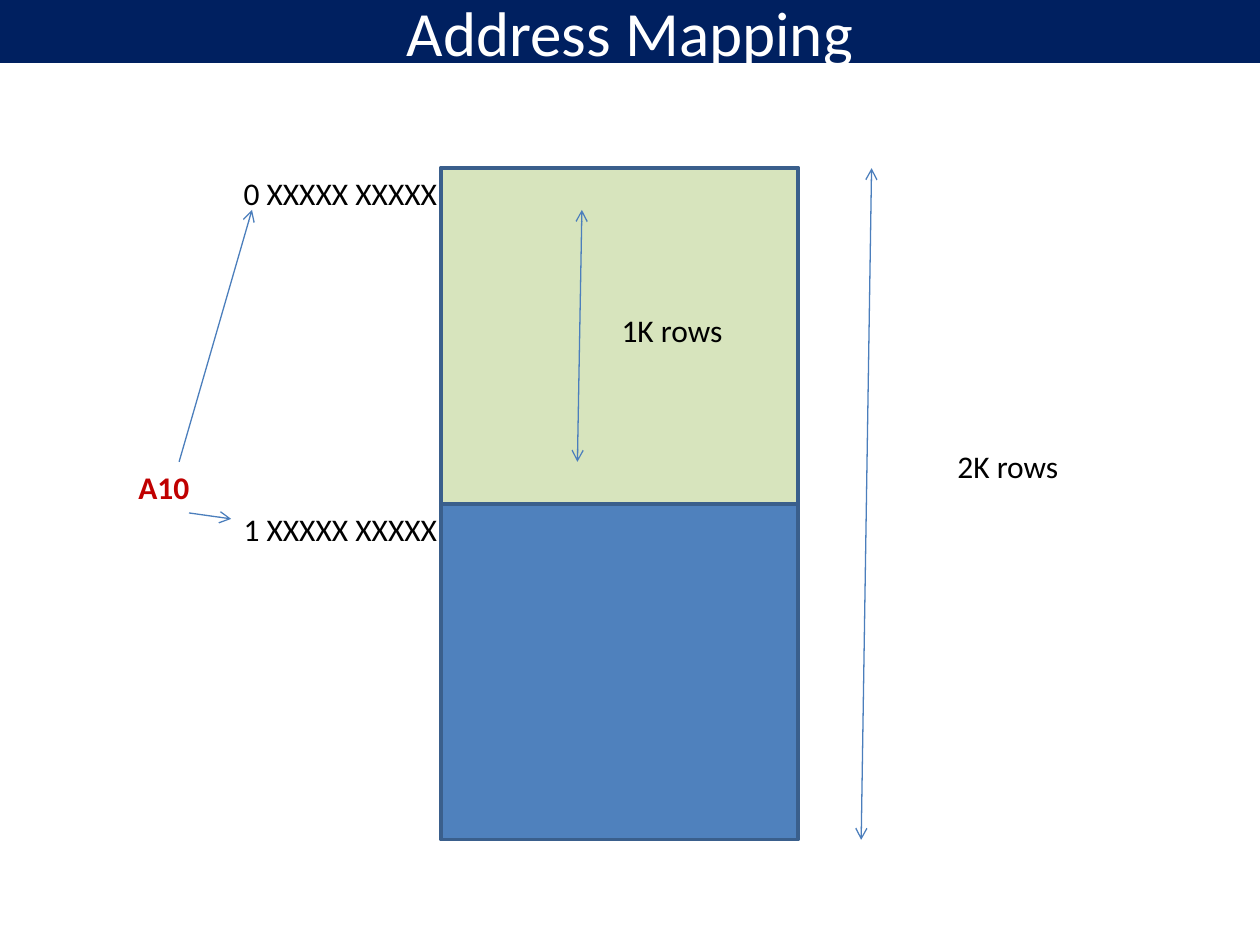
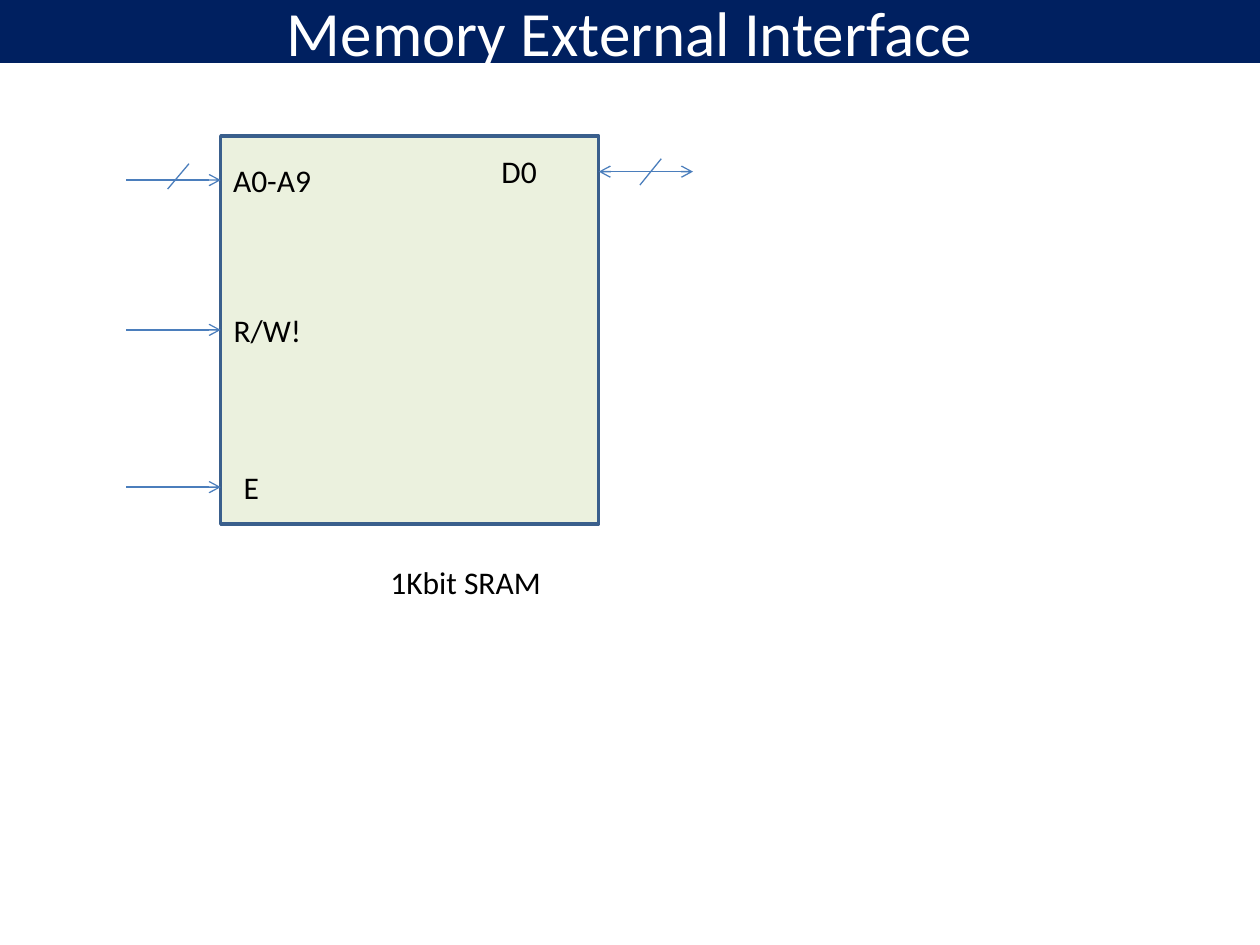
from dataclasses import dataclass
from typing import Optional

from lxml.etree import SubElement
from pptx import Presentation
from pptx.dml.color import RGBColor
from pptx.enum.shapes import MSO_CONNECTOR, MSO_SHAPE
from pptx.enum.text import MSO_ANCHOR, MSO_AUTO_SIZE, PP_ALIGN
from pptx.oxml.ns import qn
from pptx.shapes.autoshape import Shape
from pptx.shapes.connector import Connector
from pptx.slide import Slide
from pptx.text.text import TextFrame
from pptx.util import Cm, Pt

FONT = "Calibri"
NAVY = RGBColor(0x00, 0x20, 0x60)
WHITE = RGBColor(0xFF, 0xFF, 0xFF)
BLACK = RGBColor(0x00, 0x00, 0x00)
RED = RGBColor(0xC0, 0x00, 0x00)
BLUE = RGBColor(0x4F, 0x81, 0xBD)
GREEN = RGBColor(0xD7, 0xE4, 0xBD)
PALE_GREEN = RGBColor(0xEB, 0xF1, 0xDE)
OUTLINE = RGBColor(0x3A, 0x5F, 0x8C)
LINE = RGBColor(0x4B, 0x7E, 0xBC)

SLIDE_WIDTH, SLIDE_HEIGHT = 25.4, 19.05
BAND_HEIGHT = 1.27
LABEL_HEIGHT = 1.02
LEFT_SIDE = 1


@dataclass(frozen=True)
class Block:
    left: float
    top: float
    width: float
    height: float
    fill: RGBColor


@dataclass(frozen=True)
class Label:
    text: str
    left: float
    top: float
    width: float
    color: RGBColor = BLACK
    bold: bool = False
    wrap: bool = False


@dataclass(frozen=True)
class Line:
    start: tuple[float, float]
    end: tuple[float, float]
    head: bool = False
    tail: bool = True


def write_text(frame: TextFrame, text: str, *, size: float = 18,
               color: RGBColor = BLACK, bold: bool = False,
               align: Optional[PP_ALIGN] = None) -> None:
    paragraph = frame.paragraphs[0]
    paragraph.alignment = align
    run = paragraph.add_run()
    run.text = text
    run.font.name = FONT
    run.font.size = Pt(size)
    run.font.bold = bold
    run.font.color.rgb = color


def add_titled_slide(presentation: Presentation, text: str) -> Slide:
    slide = presentation.slides.add_slide(presentation.slide_layouts[5])
    title = slide.shapes.title
    title.left, title.top = Cm(0), Cm(0)
    title.width, title.height = Cm(SLIDE_WIDTH), Cm(BAND_HEIGHT)
    title.fill.solid()
    title.fill.fore_color.rgb = NAVY
    title.text_frame.auto_size = MSO_AUTO_SIZE.NONE
    title.text_frame.vertical_anchor = MSO_ANCHOR.MIDDLE
    write_text(title.text_frame, text, size=36, color=WHITE, align=PP_ALIGN.CENTER)
    return slide


def add_block(slide: Slide, block: Block) -> Shape:
    shape = slide.shapes.add_shape(
        MSO_SHAPE.RECTANGLE, Cm(block.left), Cm(block.top),
        Cm(block.width), Cm(block.height))
    shape.shadow.inherit = False
    shape.fill.solid()
    shape.fill.fore_color.rgb = block.fill
    shape.line.color.rgb = OUTLINE
    shape.line.width = Pt(2)
    return shape


def add_label(slide: Slide, label: Label) -> None:
    box = slide.shapes.add_textbox(
        Cm(label.left), Cm(label.top), Cm(label.width), Cm(LABEL_HEIGHT))
    box.text_frame.word_wrap = label.wrap
    box.text_frame.auto_size = MSO_AUTO_SIZE.SHAPE_TO_FIT_TEXT
    write_text(box.text_frame, label.text, color=label.color, bold=label.bold)


def add_line(slide: Slide, line: Line) -> Connector:
    connector = slide.shapes.add_connector(
        MSO_CONNECTOR.STRAIGHT, *map(Cm, line.start), *map(Cm, line.end))
    connector.line.color.rgb = LINE
    connector.line.width = Pt(0.75)
    properties = connector.line._get_or_add_ln()
    for shown, tag in ((line.head, "a:headEnd"), (line.tail, "a:tailEnd")):
        if shown:
            SubElement(properties, qn(tag)).set("type", "arrow")
    SubElement(connector._element.spPr, qn("a:effectLst"))
    return connector


def build_address_mapping(presentation: Presentation) -> None:
    slide = add_titled_slide(presentation, "Address Mapping")
    left, top, width, bank_height = 8.89, 3.39, 7.2, 6.77
    bottom = top + 2 * bank_height
    add_block(slide, Block(left, top, width, 2 * bank_height, BLUE))
    add_block(slide, Block(left, top, width, bank_height, GREEN))

    for bank in range(2):
        add_label(slide, Label(f"{bank} XXXXX XXXXX", 4.66, top + bank * bank_height, 4.47))
    for label in (
        Label("2K rows", 19.05, 8.89, 2.57),
        Label("1K rows", 12.28, 6.15, 2.57),
        Label("A10", 2.54, 9.31, 1.7, color=RED, bold=True, wrap=True),
    ):
        add_label(slide, label)

    for line in (
        Line((17.57, top), (17.36, bottom), head=True),
        Line((11.73, 4.23), (11.64, 9.31), head=True),
        Line((3.61, 9.31), (5.08, 4.23)),
        Line((3.81, 10.34), (4.66, 10.46)),
    ):
        add_line(slide, line)


def build_memory_interface(presentation: Presentation) -> None:
    slide = add_titled_slide(presentation, "Memory External Interface")
    chip = Block(4.45, 2.74, 7.62, 7.82, PALE_GREEN)
    chip_right = chip.left + chip.width
    chip_middle = chip.top + chip.height / 2
    chip_shape = add_block(slide, chip)

    address, write, enable = (
        add_line(slide, Line((2.54, height), (chip.left, height)))
        for height in (3.63, chip_middle, 9.82)
    )
    write.end_connect(chip_shape, LEFT_SIDE)

    for line in (
        Line((chip_right, 3.46), (13.97, 3.46), head=True),
        Line((3.81, 3.3), (3.38, 3.81), tail=False),
        Line((13.33, 3.2), (12.9, 3.73), tail=False),
    ):
        add_line(slide, line)

    for label in (
        Label("A0-A9", chip.left, 3.12, 2.11),
        Label("R/W!", 4.46, 6.15, 1.88),
        Label("E", 4.66, 9.31, 0.81),
        Label("D0", 9.86, 2.95, 1.24),
        Label("1Kbit SRAM", 7.62, 11.23, 3.58),
    ):
        add_label(slide, label)


def main() -> None:
    presentation = Presentation()
    presentation.slide_width = Cm(SLIDE_WIDTH)
    presentation.slide_height = Cm(SLIDE_HEIGHT)
    build_address_mapping(presentation)
    build_memory_interface(presentation)
    presentation.save("out.pptx")


if __name__ == "__main__":
    main()
